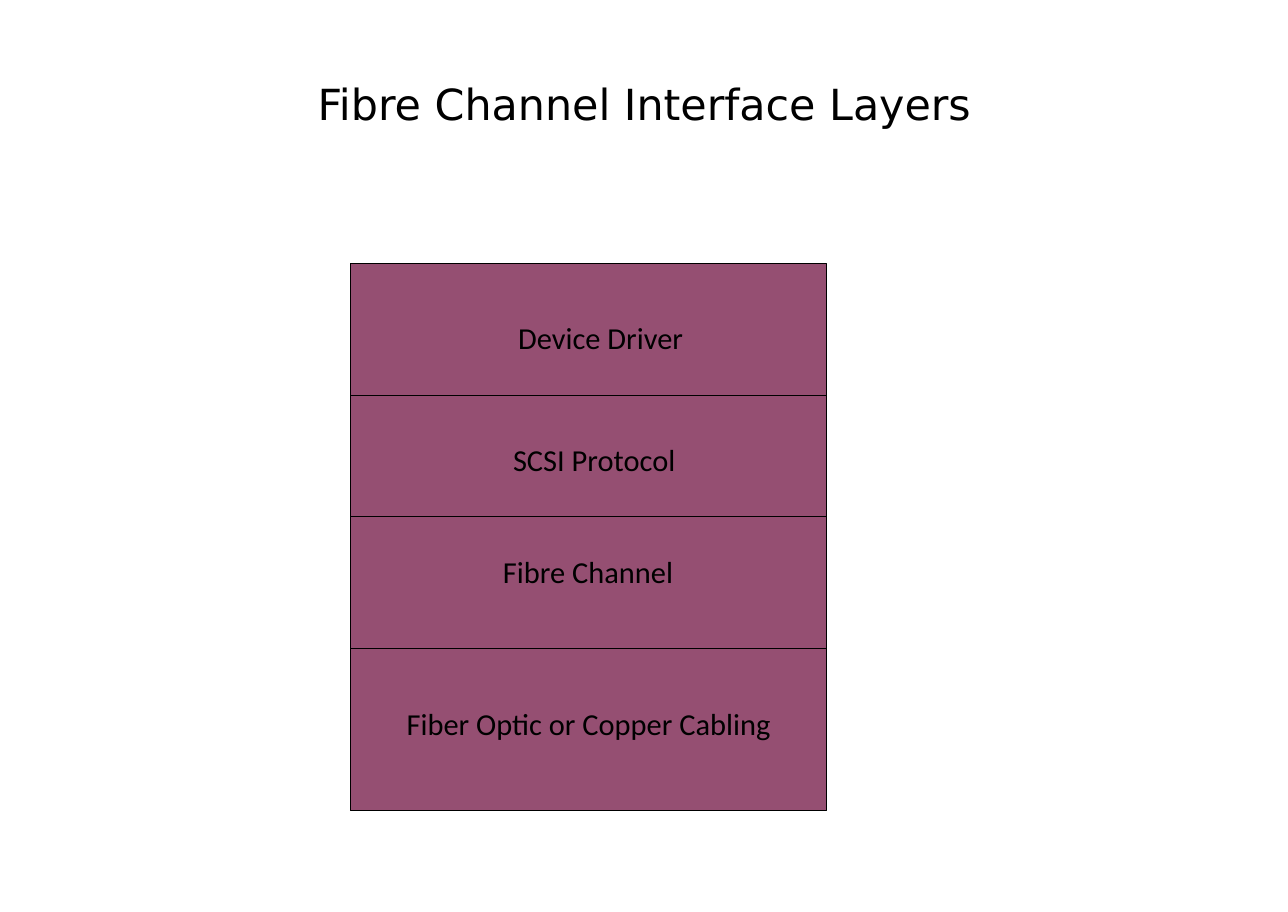
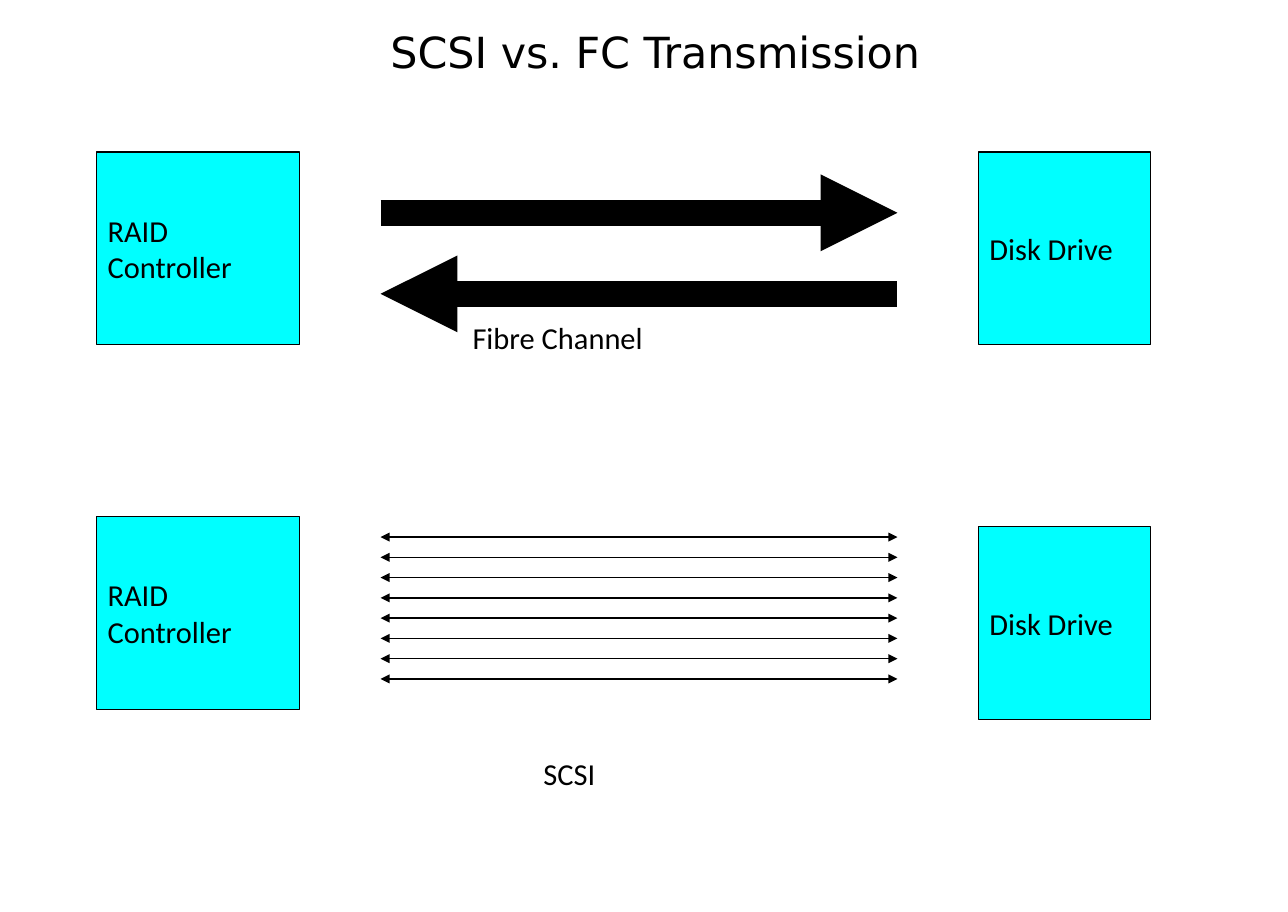
from lxml import etree
from pptx import Presentation
from pptx.dml.color import RGBColor
from pptx.enum.shapes import MSO_CONNECTOR, MSO_SHAPE
from pptx.enum.text import MSO_ANCHOR, MSO_AUTO_SIZE, PP_ALIGN
from pptx.oxml.ns import qn
from pptx.util import Inches, Pt

RECTANGLE = MSO_SHAPE.RECTANGLE
STRAIGHT = MSO_CONNECTOR.STRAIGHT
MIDDLE = MSO_ANCHOR.MIDDLE
TOP = MSO_ANCHOR.TOP
CENTER = PP_ALIGN.CENTER
LEFT = PP_ALIGN.LEFT
FIXED = MSO_AUTO_SIZE.NONE
GROW = MSO_AUTO_SIZE.SHAPE_TO_FIT_TEXT

SLIDE_WIDTH, SLIDE_HEIGHT = 11.69, 8.28
CELL = SLIDE_HEIGHT / 90
LEFT_OFFSET = 0.05
TITLE_ONLY = 5


def color(hex_string):
    return RGBColor.from_string(hex_string)


def column(number):
    return Inches(LEFT_OFFSET + number * CELL)


def row(number):
    return Inches(number * CELL)


def place(left, top, width, height):
    return column(left), row(top), row(width), row(height)


class Deck:
    ink = "000000"
    plum = "954F72"
    cyan = "00FFFF"
    title_font, title_size = "DejaVu Sans", 28
    body_font, body_size = "Calibri", 19.9
    thin = 0.75

    def __init__(self):
        self.presentation = Presentation()
        self.presentation.slide_width = Inches(SLIDE_WIDTH)
        self.presentation.slide_height = Inches(SLIDE_HEIGHT)
        self.slide = None

    def set_text(self, shape, text, font, size, anchor, alignment, fit):
        frame = shape.text_frame
        frame.text = text
        frame.word_wrap = True
        frame.auto_size = fit
        frame.vertical_anchor = anchor
        paragraph = frame.paragraphs[0]
        paragraph.alignment = alignment
        run = paragraph.runs[0]
        run.font.name = font
        run.font.size = Pt(size)
        run.font.color.rgb = color(self.ink)
        return paragraph

    def add_slide(self, title, *area):
        layout = self.presentation.slide_layouts[TITLE_ONLY]
        self.slide = self.presentation.slides.add_slide(layout)
        shape = self.slide.shapes.title
        shape.left, shape.top, shape.width, shape.height = place(*area)
        paragraph = self.set_text(shape, title, self.title_font,
                                  self.title_size, MIDDLE, CENTER, FIXED)
        paragraph.line_spacing = 0.9

    def label(self, text, left, top, width):
        shape = self.slide.shapes.add_textbox(*place(left, top, width, 4.8))
        self.set_text(shape, text, self.body_font, self.body_size,
                      TOP, LEFT, GROW)

    def box(self, fill, left, top, width, height, text=None):
        shape = self.slide.shapes.add_shape(
            RECTANGLE, *place(left, top, width, height))
        shape.shadow.inherit = False
        shape.fill.solid()
        shape.fill.fore_color.rgb = color(fill)
        shape.line.color.rgb = color(self.ink)
        shape.line.width = Pt(self.thin)
        if text:
            self.set_text(shape, text, self.body_font, self.body_size,
                          MIDDLE, LEFT, FIXED)

    def line(self, left, right, height, weight, *arrow_ends):
        connector = self.slide.shapes.add_connector(
            STRAIGHT, column(left), row(height), column(right), row(height))
        connector.line.color.rgb = color(self.ink)
        connector.line.width = Pt(weight)
        properties = connector._element.spPr
        outline = properties.find(qn("a:ln"))
        for end in arrow_ends:
            etree.SubElement(outline, qn(end), type="triangle")
        etree.SubElement(properties, qn("a:effectLst"))


def build_layers(deck):
    deck.add_slide("Fibre Channel Interface Layers", 8, 1.3, 110, 18.5)
    stack_left, stack_width = 34, 47
    deck.box(deck.plum, stack_left, 26, stack_width, 54)
    for divider in (39, 51, 64):
        deck.line(stack_left, stack_left + stack_width, divider, deck.thin)
    for text, left, top, width in (
        ("Device Driver", 49.5, 31, 21),
        ("SCSI Protocol", 49, 43, 22),
        ("Fibre Channel", 48, 54, 24),
        ("Fiber Optic or Copper Cabling", 38.5, 69, 43),
    ):
        deck.label(text, left, top, width)


def build_transmission(deck):
    deck.add_slide("SCSI vs. FC Transmission", 9.25, -0.4, 109.7, 11.6)
    link_left, link_right = 37, 88
    head, tail = "a:headEnd", "a:tailEnd"
    for height, end in ((21, tail), (29, head)):
        deck.line(link_left, link_right, height, 16.75, end)
    for controller_top, drive_top in ((15, 15), (51, 52)):
        deck.box(deck.cyan, 9, controller_top, 20, 19, "RAID Controller")
        deck.box(deck.cyan, 96, drive_top, 17, 19, "Disk Drive")
    deck.label("Fibre Channel", 45, 31, 33)
    deck.label("SCSI", 52, 74, 24)
    for wire in range(8):
        deck.line(link_left, link_right, 53 + 2 * wire, 1, head, tail)


def main():
    deck = Deck()
    build_layers(deck)
    build_transmission(deck)
    deck.presentation.save("out.pptx")


if __name__ == "__main__":
    main()
